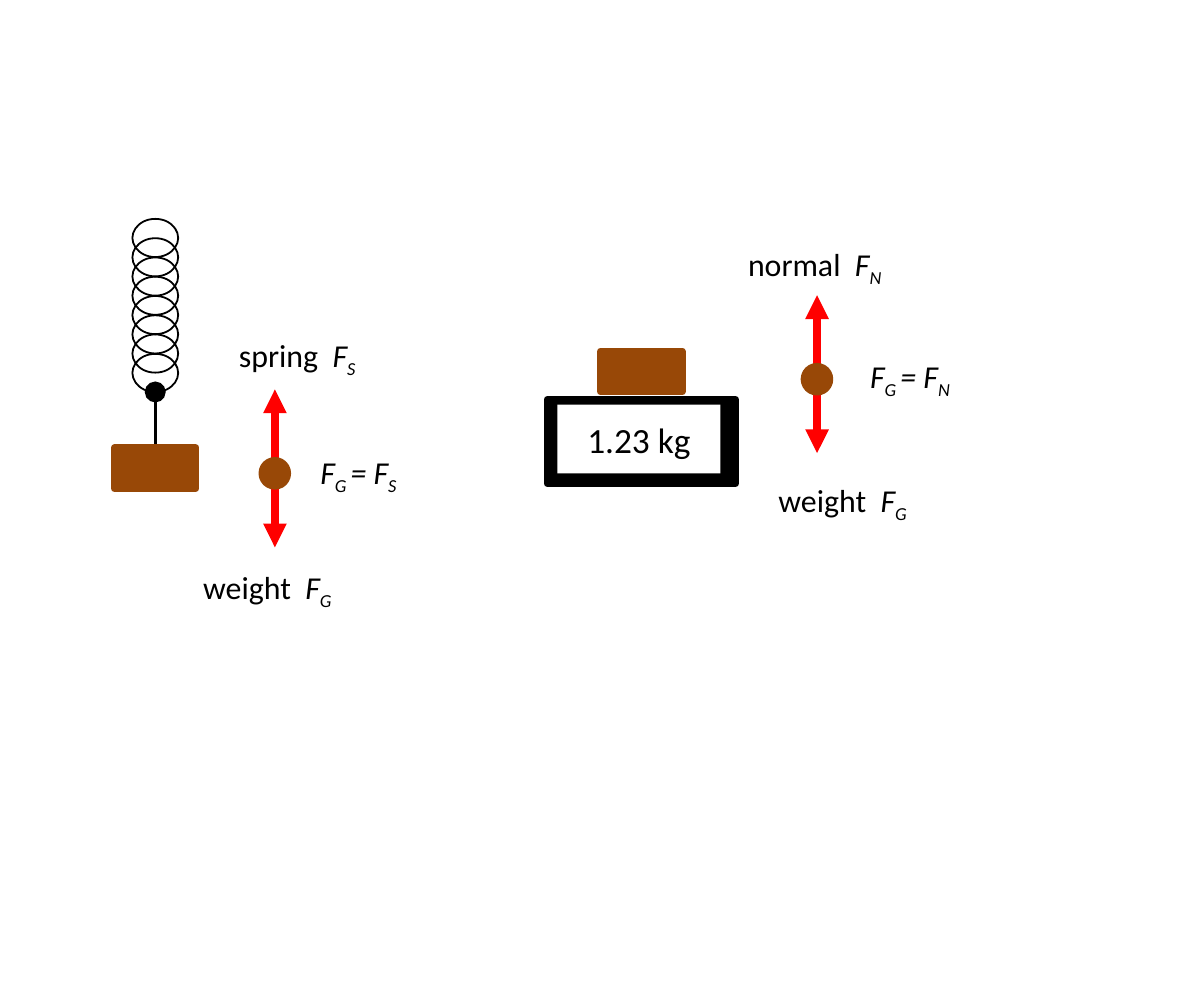
import dataclasses

import lxml.etree
import pptx
import pptx.dml.color
import pptx.enum.shapes
import pptx.enum.text
import pptx.oxml.ns
import pptx.util

Inches = pptx.util.Inches
Shape = pptx.enum.shapes.MSO_SHAPE


@dataclasses.dataclass(frozen=True)
class Theme:
    font: str = "Calibri"
    ink: str = "000000"
    paper: str = "FFFFFF"
    mass: str = "984807"
    force: str = "FF0000"
    label_size: float = 9
    reading_size: float = 10
    coil_line: float = 0.5
    hook_line: float = 0.75
    edge_line: float = 2
    force_line: float = 2.25


class ForcePage:
    BLOCK_SIZE = (0.32, 0.16)
    LABEL_HEIGHT = 0.25

    def __init__(self, page, theme):
        self.page = page
        self.theme = theme

    def color(self, name):
        return pptx.dml.color.RGBColor.from_string(getattr(self.theme, name))

    def shape(self, kind, box, fill=None, line=None, width=None, parent=None):
        shapes = (parent or self.page).shapes
        shape = shapes.add_shape(kind, *map(Inches, box))
        shape.shadow.inherit = False
        if fill:
            shape.fill.solid()
            shape.fill.fore_color.rgb = self.color(fill)
        else:
            shape.fill.background()
        if line:
            shape.line.color.rgb = self.color(line)
            shape.line.width = pptx.util.Pt(width)
        else:
            shape.line.fill.background()
        return shape

    def vertical_line(self, x, top, bottom, color, width, end_kind, parent=None):
        line = (parent or self.page).shapes.add_connector(
            pptx.enum.shapes.MSO_CONNECTOR.STRAIGHT,
            *map(Inches, (x, top, x, bottom)))
        line.line.color.rgb = self.color(color)
        line.line.width = pptx.util.Pt(width)
        outline = line.line._get_or_add_ln()
        for end in ("a:headEnd", "a:tailEnd"):
            mark = lxml.etree.SubElement(outline, pptx.oxml.ns.qn(end))
            mark.set("type", end_kind)
        lxml.etree.SubElement(line._element.spPr, pptx.oxml.ns.qn("a:effectLst"))

    def span(self, para, text, size, italic=False, subscript=False):
        span = para.add_run()
        span.text = text
        formats = {"name": self.theme.font, "size": pptx.util.Pt(size),
                   "italic": italic}
        for name, value in formats.items():
            setattr(span.font, name, value)
        span.font.color.rgb = self.color("ink")
        if subscript:
            span._r.get_or_add_rPr().set("baseline", "-25000")

    def label(self, left, top, width, spans):
        """Add a label from (text, style) pairs: plain, symbol or sub."""
        box = self.page.shapes.add_textbox(
            *map(Inches, (left, top, width, self.LABEL_HEIGHT)))
        frame = box.text_frame
        frame.word_wrap = False
        frame.auto_size = pptx.enum.text.MSO_AUTO_SIZE.SHAPE_TO_FIT_TEXT
        for text, style in spans:
            self.span(frame.paragraphs[0], text, self.theme.label_size,
                      style != "plain", style == "sub")

    def force_label(self, left, top, width, word, sub):
        self.label(left, top, width,
                   [(word + "  ", "plain"), ("F", "symbol"), (sub, "sub")])

    def balance_label(self, left, top, width, sub):
        self.label(left, top, width, [("F", "symbol"), ("G ", "sub"),
                                      ("= F", "symbol"), (sub, "sub")])

    def block(self, left, top):
        self.shape(Shape.RECTANGLE, (left, top, *self.BLOCK_SIZE),
                   "mass", "mass", self.theme.edge_line)

    def spring(self, left, top, last_top, coils):
        pitch = (last_top - top) / (coils - 1)
        for index in range(coils):
            self.shape(Shape.OVAL, (left, top + index * pitch, 0.18, 0.15),
                       line="ink", width=self.theme.coil_line)

    def scale(self, left, top, reading):
        self.shape(Shape.RECTANGLE, (left, top, 0.74, 0.33),
                   "ink", "ink", self.theme.edge_line)
        self.block(left + 0.21, top - 0.19)
        display = self.shape(Shape.RECTANGLE,
                             (left + 0.04, top + 0.02, 0.64, 0.27), "paper")
        frame = display.text_frame
        frame.vertical_anchor = pptx.enum.text.MSO_ANCHOR.MIDDLE
        frame.paragraphs[0].alignment = pptx.enum.text.PP_ALIGN.CENTER
        self.span(frame.paragraphs[0], reading, self.theme.reading_size)

    def force_pair(self, x, top):
        """Draw equal opposite forces on a point mass."""
        group = self.page.shapes.add_group_shape()
        self.vertical_line(x, top, top + 0.62, "force",
                           self.theme.force_line, "triangle", group)
        self.shape(Shape.OVAL, (x - 0.05, top + 0.28, 0.1, 0.1),
                   "mass", "mass", self.theme.edge_line, group)


def main():
    deck = pptx.Presentation()
    deck.slide_width, deck.slide_height = Inches(4.73), Inches(3.94)
    theme = Theme()
    page = ForcePage(deck.slides.add_slide(deck.slide_layouts[6]), theme)

    page.spring(0.52, 0.86, 1.39, coils=8)
    page.vertical_line(0.61, 1.54, 1.83, "ink", theme.hook_line, "oval")
    page.block(0.45, 1.76)
    page.force_pair(1.08, 1.53)
    page.force_label(0.84, 1.27, 0.68, "spring", "S")
    page.force_label(0.7, 2.18, 0.72, "weight", "G")
    page.balance_label(1.16, 1.73, 0.52, "S")

    page.scale(2.15, 1.57, "1.23 kg")
    page.force_pair(3.21, 1.16)
    page.force_label(2.84, 0.91, 0.75, "normal", "N")
    page.force_label(2.96, 1.84, 0.72, "weight", "G")
    page.balance_label(3.32, 1.35, 0.54, "N")

    deck.save("out.pptx")


if __name__ == "__main__":
    main()
